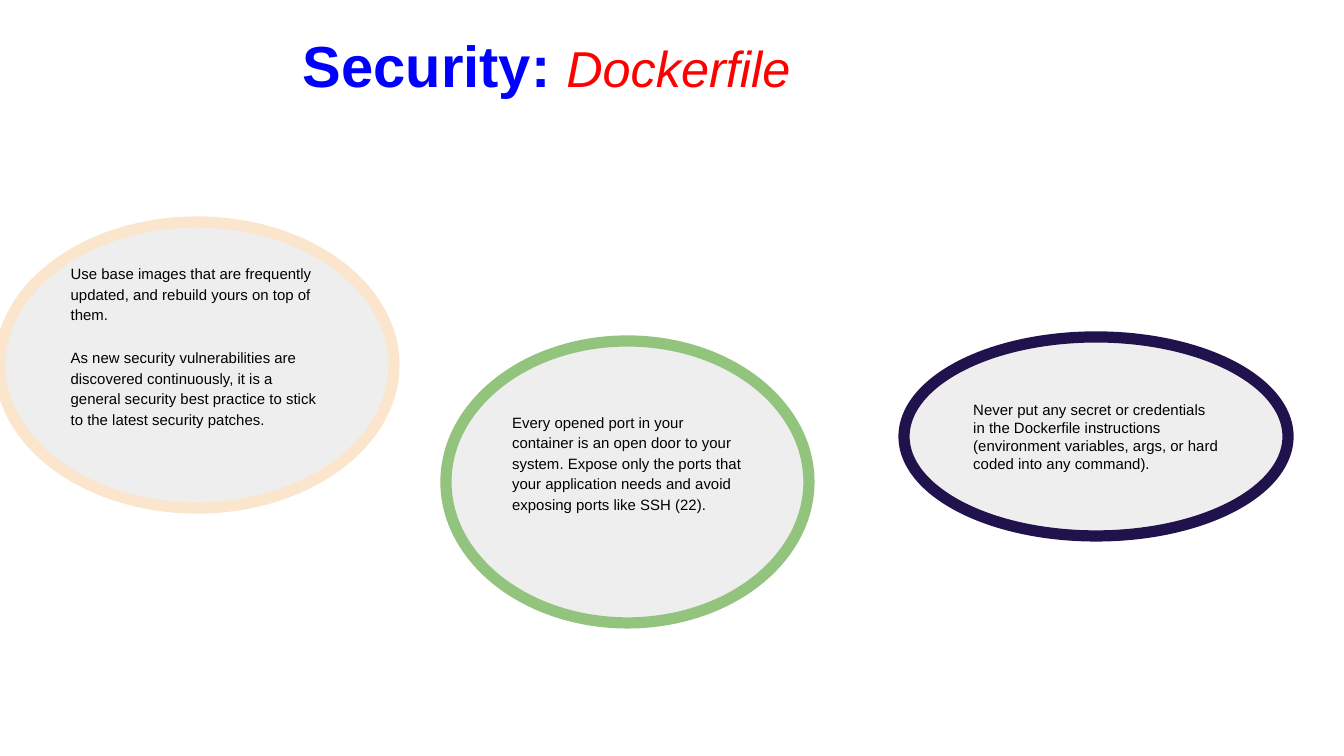
from pptx import Presentation
from pptx.dml.color import RGBColor
from pptx.enum.shapes import MSO_SHAPE
from pptx.enum.text import MSO_ANCHOR, PP_ALIGN
from pptx.util import Emu, Pt

OVAL = MSO_SHAPE.OVAL
TOP, MIDDLE = MSO_ANCHOR.TOP, MSO_ANCHOR.MIDDLE
LEFT = PP_ALIGN.LEFT

EMU_PER_PX = 914400 / 134.4
FONT = "Arial"
INSET = 13
COLORS = {
    "title": "0000FF",
    "topic": "FF0000",
    "text": "000000",
    "fill": "EEEEEE",
    "peach": "FCE5CD",
    "navy": "20124D",
    "green": "93C47D",
}

BASE_IMAGES = [
    "Use base images that are frequently updated, and rebuild yours on top of them.",
    "As new security vulnerabilities are discovered continuously, it is a general "
    "security best practice to stick to the latest security patches.",
]
SECRETS = [
    "Never put any secret or credentials in the Dockerfile instructions "
    "(environment variables, args, or hard coded into any command).",
]
PORTS = [
    "Every opened port in your container is an open door to your system. Expose only "
    "the ports that your application needs and avoid exposing ports like SSH (22).",
]


def px(n):
    """Convert slide pixels to EMU."""
    return Emu(round(n * EMU_PER_PX))


def color(name):
    """Look up a named colour."""
    return RGBColor.from_string(COLORS[name])


def set_frame(tf, anchor, bottom=INSET):
    """Set wrapping, anchor and insets of a text frame."""
    tf.word_wrap = True
    tf.vertical_anchor = anchor
    tf.margin_left = tf.margin_right = tf.margin_top = px(INSET)
    tf.margin_bottom = px(bottom)


def add_run(p, text, size, color_name, bold=False, italic=False):
    """Append a formatted run to a paragraph."""
    r = p.add_run()
    r.text = text
    r.font.name = FONT
    r.font.size = Pt(size)
    r.font.bold = bold
    r.font.italic = italic
    r.font.color.rgb = color(color_name)


def add_title(s, box, title, topic):
    """Add the two-tone slide title."""
    tf = s.shapes.add_textbox(*map(px, box)).text_frame
    set_frame(tf, TOP)
    p = tf.paragraphs[0]
    add_run(p, title, 31, "title", bold=True)
    add_run(p, topic, 27, "topic", italic=True)


def add_tip(s, box, line, texts, line_spacing=1, space_before=0, bottom=INSET):
    """Add an outlined ellipse holding one security tip."""
    sp = s.shapes.add_shape(OVAL, *map(px, box))
    sp.shadow.inherit = False
    sp.fill.solid()
    sp.fill.fore_color.rgb = color("fill")
    sp.line.color.rgb = color(line)
    sp.line.width = Pt(6)
    tf = sp.text_frame
    set_frame(tf, MIDDLE, bottom)
    for i, text in enumerate(texts):
        p = tf.add_paragraph() if i else tf.paragraphs[0]
        p.alignment = LEFT
        p.line_spacing = line_spacing
        p.space_before = Pt(space_before)
        add_run(p, text, 8, "text")


def main():
    """Build and save the slide."""
    prs = Presentation()
    prs.slide_width, prs.slide_height = px(1344), px(756)
    s = prs.slides.add_slide(prs.slide_layouts[6])
    add_title(s, (290, 17, 716, 97), "Security: ", "Dockerfile")
    spaced = {"line_spacing": 1.15, "space_before": 12, "bottom": 53}
    add_tip(s, (0, 222, 394, 286), "peach", BASE_IMAGES, **spaced)
    add_tip(s, (904, 337, 384, 199), "navy", SECRETS)
    add_tip(s, (446, 341, 363, 282), "green", PORTS, **spaced)
    prs.save("out.pptx")


if __name__ == "__main__":
    main()
